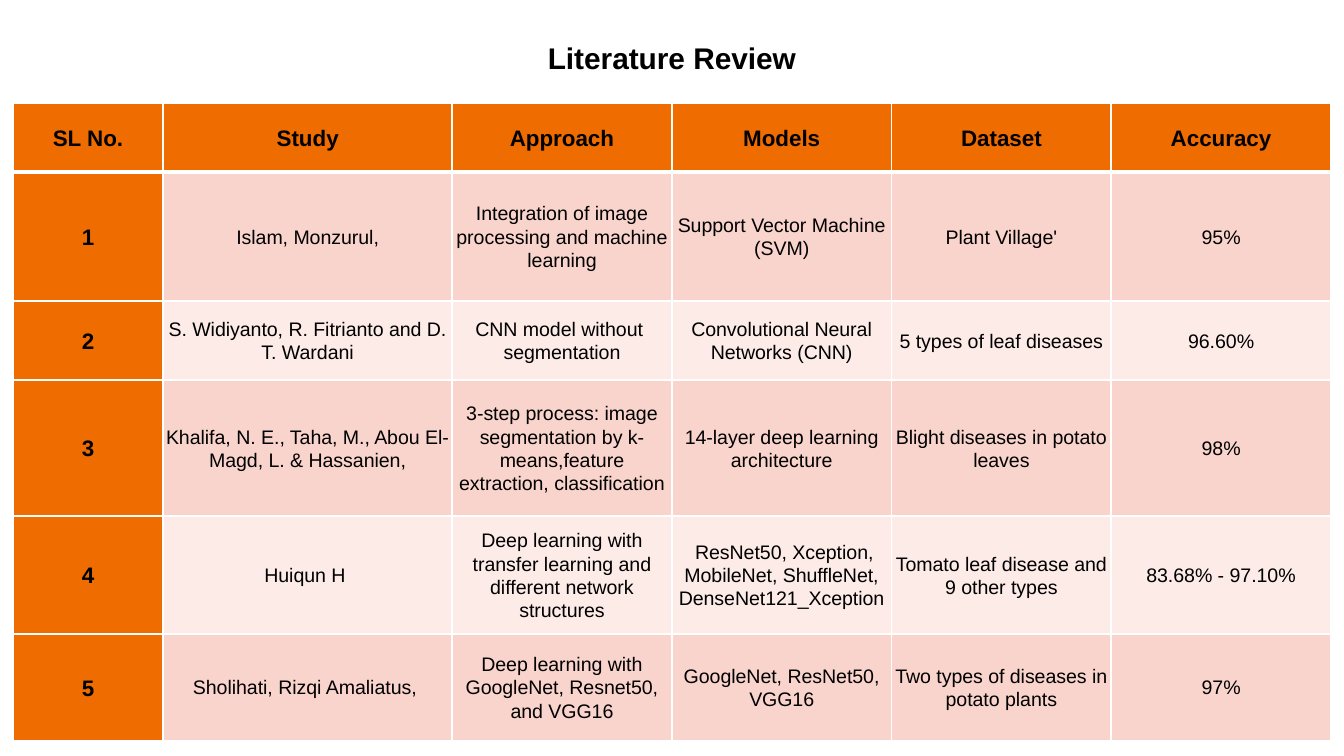
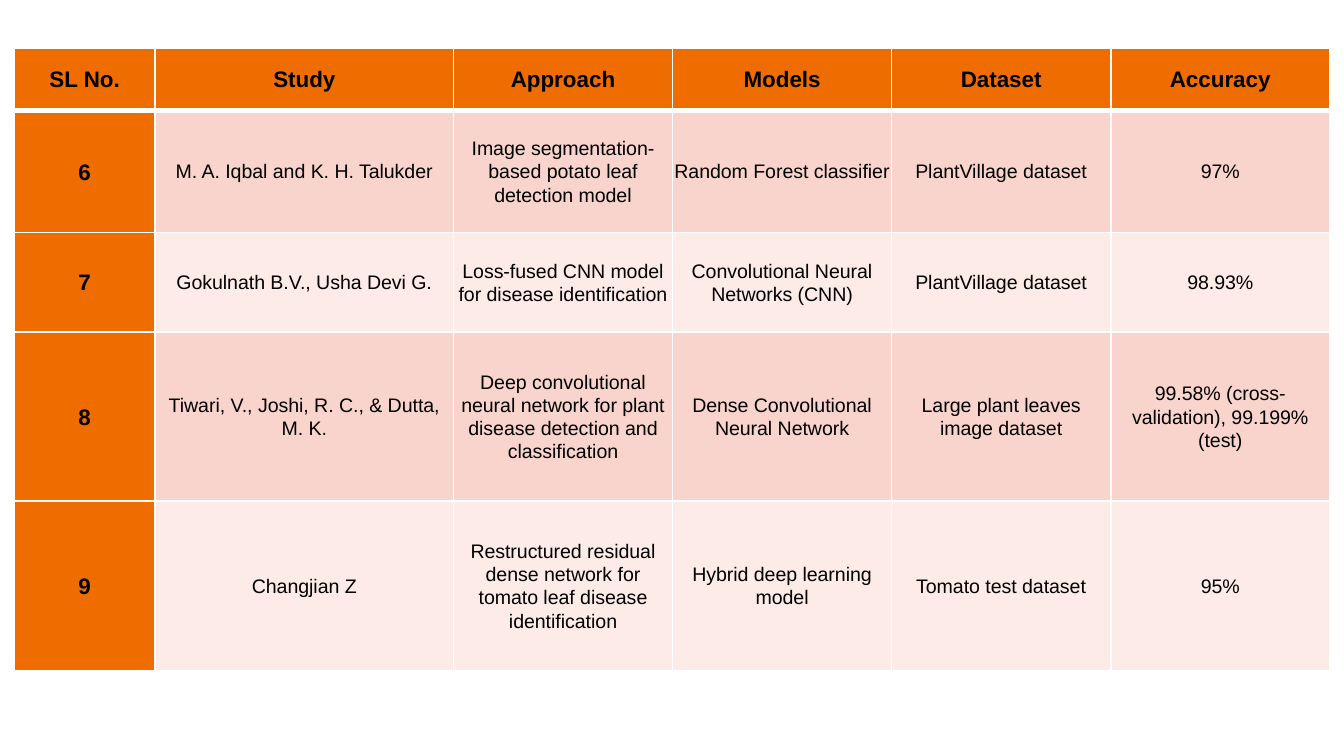
from lxml import etree
from pptx import Presentation
from pptx.dml.color import RGBColor
from pptx.enum.text import MSO_ANCHOR, PP_ALIGN
from pptx.oxml.ns import qn
from pptx.util import Inches, Pt

MIDDLE, CENTER = MSO_ANCHOR.MIDDLE, PP_ALIGN.CENTER
TITLE_ONLY, BLANK = 5, 6

BLACK = RGBColor(0x00, 0x00, 0x00)
WHITE = RGBColor(0xFF, 0xFF, 0xFF)
ORANGE = RGBColor(0xEF, 0x6C, 0x00)
BANDS = (RGBColor(0xF9, 0xD4, 0xCC), RGBColor(0xFC, 0xEB, 0xE7))
FONT = "Arial"
SLIDE_W = 10
SLIDE_H = SLIDE_W * 9 / 16
CELL_INSET = 0.01

# Content
HEADER = ("SL No.", "Study", "Approach", "Models", "Dataset", "Accuracy")
SLIDES = [
    {
        "title": "Literature Review",
        "top": 0.77,
        "width": 9.81,
        "lead_cols": (1.12, 2.15),
        "row_heights": (0.51, 0.96, 0.59, 1.01, 0.88, 0.79),
        "studies": [
            ("1", "Islam, Monzurul,",
             "Integration of image processing and machine learning",
             "Support Vector Machine (SVM)", "Plant Village'", "95%"),
            ("2", "S. Widiyanto, R. Fitrianto and D. T. Wardani",
             "CNN model without  segmentation",
             "Convolutional Neural Networks (CNN)",
             "5 types of leaf diseases", "96.60%"),
            ("3", "Khalifa, N. E., Taha, M., Abou El-Magd, L. & Hassanien,",
             "3-step process: image segmentation by k-means,feature "
             "extraction, classification",
             "14-layer deep learning architecture",
             "Blight diseases in potato leaves", "98%"),
            ("4", "Huiqun H ",
             "Deep learning with transfer learning and different network "
             "structures",
             " ResNet50, Xception, MobileNet, ShuffleNet, "
             "DenseNet121_Xception",
             "Tomato leaf disease and 9 other types", "83.68% - 97.10%"),
            ("5", "Sholihati, Rizqi Amaliatus, ",
             "Deep learning with GoogleNet, Resnet50, and VGG16",
             "GoogleNet, ResNet50, VGG16",
             "Two types of diseases in potato plants", "97%"),
        ],
    },
    {
        "title": None,
        "top": 0.36,
        "width": 9.79,
        "lead_cols": (1.05, 2.22),
        "row_heights": (0.46, 0.91, 0.74, 1.26, 1.26),
        "studies": [
            ("6", "M. A. Iqbal and K. H. Talukder",
             "Image segmentation-based potato leaf detection model",
             "Random Forest classifier", "PlantVillage dataset", "97%"),
            ("7", "Gokulnath B.V., Usha Devi G.",
             "Loss-fused CNN model for disease identification",
             "Convolutional Neural Networks (CNN)",
             "PlantVillage dataset", "98.93%"),
            ("8", "Tiwari, V., Joshi, R. C., & Dutta, M. K.",
             "Deep convolutional neural network for plant disease detection "
             "and classification",
             "Dense Convolutional Neural Network",
             "Large plant leaves image dataset",
             "99.58% (cross-validation), 99.199% (test)"),
            ("9", "Changjian Z",
             "Restructured residual dense network for tomato leaf disease "
             "identification",
             "Hybrid deep learning model", "Tomato test dataset", "95%"),
        ],
    },
]


def write(tf, text, size, bold=False, line_spacing=None, space_after=None):
    """Put one centred paragraph into a text frame."""
    p = tf.paragraphs[0]
    p.alignment = CENTER
    p.line_spacing = line_spacing
    p.space_after = space_after
    r = p.add_run()
    r.text = text
    r.font.name, r.font.size, r.font.bold = FONT, Pt(size), bold
    r.font.color.rgb = BLACK


def set_borders(cell, **widths):
    """Draw white cell borders; widths in points by side: L, R, T, B."""
    tc_pr = cell._tc.get_or_add_tcPr()
    for side, width in widths.items():
        ln = etree.SubElement(tc_pr, qn(f"a:ln{side}"), w=str(Pt(width)))
        fill = etree.SubElement(ln, qn("a:solidFill"))
        etree.SubElement(fill, qn("a:srgbClr"), val=str(WHITE))


def add_title(s, text):
    title = s.shapes.title
    width = 2.12
    title.left, title.top = Inches((SLIDE_W - width) / 2), Inches(0.24)
    title.width, title.height = Inches(width), Inches(0.37)
    title.text_frame.vertical_anchor = MIDDLE
    write(title.text_frame, text, 16, bold=True)


def add_review_table(s, top, width, lead_cols, row_heights, studies):
    rows = [HEADER, *studies]
    frame = s.shapes.add_table(
        len(rows), len(HEADER), Inches((SLIDE_W - width) / 2), Inches(top),
        Inches(width), Inches(sum(row_heights)))
    table = frame.table

    # The columns after the lead ones share the remaining width equally
    n_equal = len(HEADER) - len(lead_cols)
    equal = (width - sum(lead_cols)) / n_equal
    for col, w in zip(table.columns, (*lead_cols, *[equal] * n_equal)):
        col.width = Inches(w)
    for row, h in zip(table.rows, row_heights):
        row.height = Inches(h)

    for i, values in enumerate(rows):
        for j, text in enumerate(values):
            cell = table.cell(i, j)
            is_head = i == 0 or j == 0
            set_borders(cell, L=1, R=1, T=3 if i == 1 else 1,
                        B=3 if i == 0 else 1)
            cell.fill.solid()
            cell.fill.fore_color.rgb = ORANGE if is_head else BANDS[(i - 1) % 2]
            cell.vertical_anchor = MIDDLE
            cell.margin_left = cell.margin_right = Inches(CELL_INSET)
            cell.margin_top = cell.margin_bottom = Inches(CELL_INSET)
            write(cell.text_frame, text, 12 if is_head else 10.5,
                  bold=is_head, line_spacing=1.07, space_after=Pt(8))


def main():
    prs = Presentation()
    prs.slide_width, prs.slide_height = Inches(SLIDE_W), Inches(SLIDE_H)
    for content in SLIDES:
        title = content["title"]
        layout = prs.slide_layouts[TITLE_ONLY if title else BLANK]
        s = prs.slides.add_slide(layout)
        if title:
            add_title(s, title)
        add_review_table(s, content["top"], content["width"],
                         content["lead_cols"], content["row_heights"],
                         content["studies"])
    prs.save("out.pptx")


if __name__ == "__main__":
    main()
